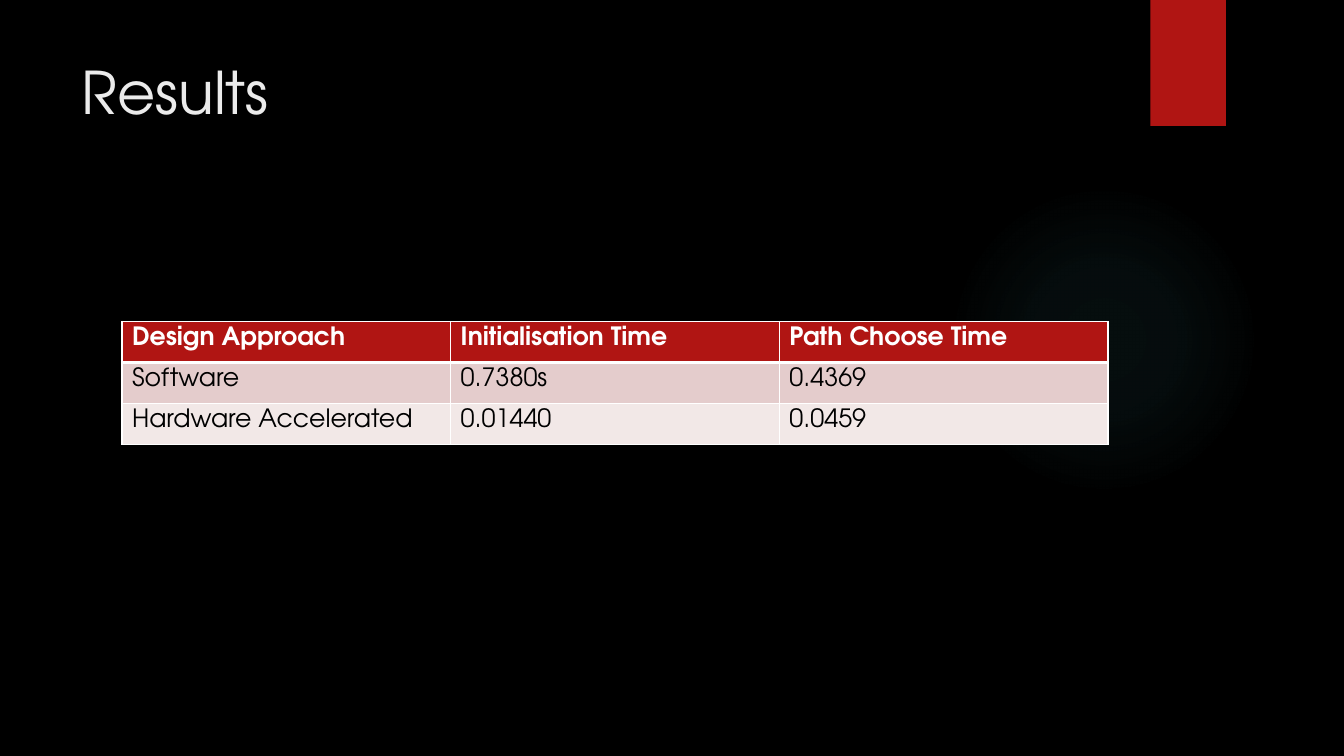
import pptx
import pptx.dml.color
import pptx.enum.shapes
import pptx.enum.text
import pptx.oxml
import pptx.oxml.ns
import pptx.util
from pptx.util import Inches

FONT = "TeX Gyre Adventor"
RED = "B01513"
NAMESPACE = pptx.oxml.ns.nsdecls("a")


def paint(color_holder, hex_color):
    color_holder.rgb = pptx.dml.color.RGBColor.from_string(hex_color)


def style_text(text_frame, size, hex_color, bold=False):
    for paragraph in text_frame.paragraphs:
        for run in paragraph.runs:
            run.font.name = FONT
            run.font.size = pptx.util.Pt(size)
            run.font.bold = bold
            paint(run.font.color, hex_color)


deck = pptx.Presentation()
deck.slide_width = Inches(13.33)
deck.slide_height = Inches(7.5)
slide = deck.slides.add_slide(deck.slide_layouts[5])
slide.background.fill.solid()
paint(slide.background.fill.fore_color, "000000")

glow = slide.shapes.add_shape(
    pptx.enum.shapes.MSO_SHAPE.OVAL, Inches(9.41), Inches(1.83), Inches(3.08), Inches(3.08))
glow.shadow.inherit = False
glow.line.fill.background()
stops = "".join(
    f'<a:gs pos="{position * 1000}"><a:srgbClr val="50B9C1">'
    f'<a:alpha val="{opacity * 1000}"/></a:srgbClr></a:gs>'
    for position, opacity in [(0, 7), (36, 6), (69, 0), (100, 0)])
glow_gradient = pptx.oxml.parse_xml(
    f'<a:gradFill {NAMESPACE} rotWithShape="1"><a:gsLst>{stops}</a:gsLst>'
    '<a:path path="circle"><a:fillToRect l="50000" t="50000" r="50000" b="50000"/></a:path>'
    '</a:gradFill>')
glow.element.spPr.find(pptx.oxml.ns.qn("a:prstGeom")).addnext(glow_gradient)

ribbon = slide.shapes.add_shape(
    pptx.enum.shapes.MSO_SHAPE.RECTANGLE, Inches(11.41), 0, Inches(0.75), Inches(1.25))
ribbon.shadow.inherit = False
ribbon.line.fill.background()
ribbon.fill.solid()
paint(ribbon.fill.fore_color, RED)

title = slide.shapes.title
title.left, title.top = Inches(0.71), Inches(0.5)
title.width, title.height = Inches(10.29), Inches(1.53)
title.text_frame.text = "Results"
title.text_frame.vertical_anchor = pptx.enum.text.MSO_ANCHOR.TOP
title.text_frame.paragraphs[0].alignment = pptx.enum.text.PP_ALIGN.LEFT
style_text(title.text_frame, 42, "EBEBEB")

timings = [
    ["Design Approach", "Initialisation Time", "Path Choose Time"],
    ["Software", "0.7380s", "0.4369"],
    ["Hardware Accelerated", "0.01440", "0.0459"],
]
row_fills = [RED, "E4CCCC", "F2E8E7"]
results = slide.shapes.add_table(
    3, 3, Inches(1.21), Inches(3.19), Inches(9.78), Inches(1.22)).table

for row_index, (values, row_fill) in enumerate(zip(timings, row_fills)):
    is_header = row_index == 0
    borders = {"lnL": 1, "lnR": 1, "lnT": 3 if row_index == 1 else 1, "lnB": 3 if is_header else 1}
    for column_index, value in enumerate(values):
        cell = results.cell(row_index, column_index)
        cell.text_frame.text = value
        style_text(cell.text_frame, 18, "FFFFFF" if is_header else "000000", is_header)
        cell.fill.solid()
        paint(cell.fill.fore_color, row_fill)
        properties = cell._tc.get_or_add_tcPr()
        for position, (side, width) in enumerate(borders.items()):
            properties.insert(position, pptx.oxml.parse_xml(
                f'<a:{side} {NAMESPACE} w="{pptx.util.Pt(width)}"><a:solidFill>'
                f'<a:srgbClr val="FFFFFF"/></a:solidFill></a:{side}>'))

deck.save("out.pptx")
